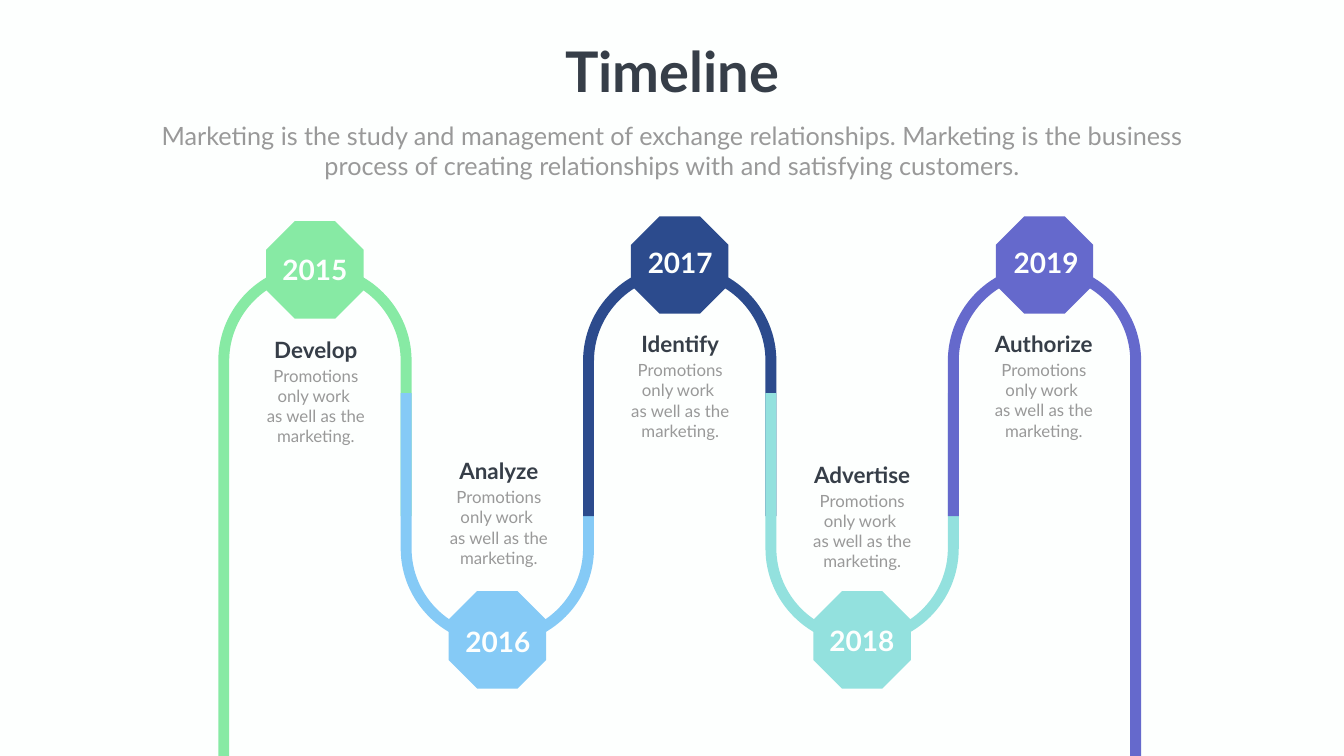
"""Build a five-year serpentine timeline slide."""
import pptx
import pptx.dml.color
import pptx.enum.shapes
import pptx.enum.text
import pptx.oxml.ns
import pptx.util

Cm = pptx.util.Cm
qn = pptx.oxml.ns.qn


def rgb(value):
    return pptx.dml.color.RGBColor.from_string(value)


def write(box, lines, size, color, bold=False, wrap=True):
    frame = box.text_frame
    frame.word_wrap = wrap
    frame.auto_size = pptx.enum.text.MSO_AUTO_SIZE.SHAPE_TO_FIT_TEXT
    frame.vertical_anchor = pptx.enum.text.MSO_ANCHOR.TOP
    for index, line in enumerate(lines):
        para = frame.add_paragraph() if index else frame.paragraphs[0]
        para.alignment = pptx.enum.text.PP_ALIGN.CENTER
        span = para.add_run()
        span.text = line
        span.font.name = "Lato"
        span.font.size = pptx.util.Pt(size)
        span.font.bold = bold
        span.font.color.rgb = rgb(color)


WHITE, DARK, GREY = "FDFFFE", "363E48", "999999"
FIRST_CENTER, PITCH = 15.87, 9.19
OUTER, INNER = 4.87, 4.32
OCTAGON = 4.91
HEADING_WIDTH = 6.63
ARC_UNITS = [(-1, 0), (-1, 0.55), (-0.55, 1), (0, 1), (0.55, 1), (1, 0.55), (1, 0)]
CURVE_STARTS = [1, 4, 10, 13]

deck = pptx.Presentation()
deck.slide_width, deck.slide_height = Cm(67.72), Cm(38.1)
page = deck.slides.add_slide(deck.slide_layouts[5])
page.background.fill.solid()
page.background.fill.fore_color.rgb = rgb(WHITE)

title = page.shapes.title
title.left, title.top, title.width, title.height = Cm(28.11), Cm(1.73), Cm(11.51), Cm(3.68)
write(title, ["Timeline"], 80, DARK, bold=True, wrap=False)

subtitle = page.shapes.add_textbox(Cm(6.81), Cm(5.94), Cm(54.1), Cm(3.33))
write(subtitle, ["Marketing is the study and management of exchange relationships. "
                 "Marketing is the business process of creating relationships "
                 "with and satisfying customers."], 36, GREY)

colors = ["87EAA4", "85CAF6", "2C4B8D", "93E1DE", "6569CC"]
leg_ends = [(38.1, 26.01), (19.81, 19.81), (26.01, 26.01), (19.81, 19.81), (26.01, 38.1)]

for index, (color, (left_end, right_end)) in enumerate(zip(colors, leg_ends)):
    center = FIRST_CENTER + index * PITCH
    arc_y, rise = (27.64, -1) if index % 2 else (18.19, 1)
    outer, inner = [
        [(center + radius * x, arc_y - rise * radius * y) for x, y in ARC_UNITS]
        for radius in (OUTER, INNER)
    ]
    outline = [(center - OUTER, left_end), *outer, (center + OUTER, right_end),
               (center + INNER, right_end), *reversed(inner), (center - INNER, left_end)]
    points = [(Cm(x), Cm(y)) for x, y in outline]
    builder = page.shapes.build_freeform(*points[0])
    builder.add_line_segments(points[1:], close=True)
    band = builder.convert_to_shape()
    segments = list(band._element.iter(qn("a:lnTo")))
    for start in CURVE_STARTS:
        curve = segments[start].makeelement(qn("a:cubicBezTo"))
        segments[start].addprevious(curve)
        for segment in segments[start:start + 3]:
            curve.append(segment[0])
            segment.getparent().remove(segment)
    band.shadow.inherit = False
    band.fill.solid()
    band.fill.fore_color.rgb = rgb(color)
    band.line.fill.background()

octagon_tops = [11.15, 29.79, 10.9, 29.79, 10.9]
for index, (color, top) in enumerate(zip(colors, octagon_tops)):
    left = FIRST_CENTER + index * PITCH - OCTAGON / 2
    octagon = page.shapes.add_shape(pptx.enum.shapes.MSO_SHAPE.OCTAGON,
                                    Cm(left), Cm(top), Cm(OCTAGON), Cm(OCTAGON))
    octagon.shadow.inherit = False
    octagon.fill.solid()
    octagon.fill.fore_color.rgb = rgb(color)
    octagon.line.fill.background()

years = [("2015", 13.77, 12.59), ("2016", 22.99, 31.34), ("2017", 32.18, 12.27),
         ("2018", 41.33, 31.29), ("2019", 50.62, 12.24)]
for year, left, top in years:
    write(page.shapes.add_textbox(Cm(left), Cm(top), Cm(4.19), Cm(1.96)),
          [year], 40, WHITE, bold=True)

stages = [("Develop", 12.6, 16.79, 5.79), ("Analyze", 21.82, 22.92, 5.59),
          ("Identify", 30.96, 16.52, 5.74), ("Advertise", 40.13, 23.09, 5.46),
          ("Authorize", 49.28, 16.51, 6.17)]
for name, left, top, body_width in stages:
    group = page.shapes.add_group_shape()
    heading = group.shapes.add_textbox(Cm(left), Cm(top), Cm(HEADING_WIDTH), Cm(1.63))
    write(heading, [name], 32, DARK, bold=True)
    body_left = left + (HEADING_WIDTH - body_width) / 2
    body = group.shapes.add_textbox(Cm(body_left), Cm(top + 1.5), Cm(body_width), Cm(4.37))
    write(body, ["Promotions only work ", "as well as the marketing."], 24, GREY)

deck.save("out.pptx")
